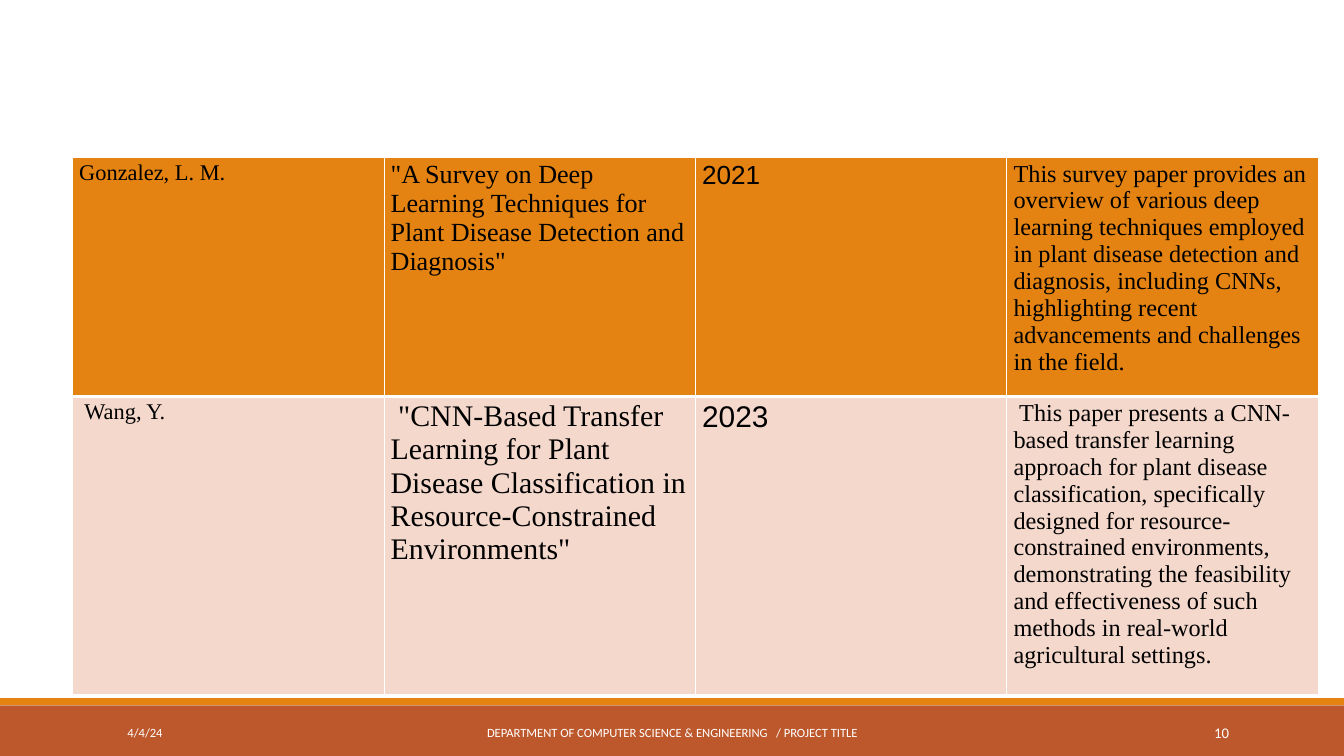
from lxml import etree
from pptx import Presentation
from pptx.dml.color import RGBColor
from pptx.enum.shapes import MSO_SHAPE
from pptx.enum.text import MSO_ANCHOR, PP_ALIGN
from pptx.oxml.ns import qn
from pptx.util import Cm, Pt

RECT = MSO_SHAPE.RECTANGLE
MIDDLE = MSO_ANCHOR.MIDDLE
LEFT, CENTER, RIGHT = PP_ALIGN.LEFT, PP_ALIGN.CENTER, PP_ALIGN.RIGHT

WHITE, BLACK = "FFFFFF", "000000"
ORANGE, RUST, BLUSH = "E48312", "BD582C", "F4D8CC"
SERIF, SANS, FOOTER = "Times New Roman", "Arial", "Calibri"
COLUMN_FONTS = (SERIF, SERIF, SANS, SERIF)
THIN, THICK = 0.96, 3

PAPERS = [
    {
        "fill": ORANGE, "height": 9.04, "sizes": (24, 28, 28, 26),
        "borders": {"lnL": THIN, "lnR": THIN, "lnT": THIN, "lnB": THICK},
        "texts": (
            "Gonzalez, L. M.",
            '"A Survey on Deep Learning Techniques for Plant Disease Detection and Diagnosis"',
            "2021",
            "This survey paper provides an overview of various deep learning techniques "
            "employed in plant disease detection and diagnosis, including CNNs, "
            "highlighting recent advancements and challenges in the field.",
        ),
    },
    {
        "fill": BLUSH, "height": 11.23, "sizes": (24, 32, 32, 26),
        "borders": {"lnL": THIN, "lnR": THIN, "lnT": THICK, "lnB": THIN},
        "texts": (
            " Wang, Y.",
            ' "CNN-Based Transfer Learning for Plant Disease Classification in '
            'Resource-Constrained Environments"',
            "2023",
            " This paper presents a CNN-based transfer learning approach for plant disease "
            "classification, specifically designed for resource-constrained environments, "
            "demonstrating the feasibility and effectiveness of such methods in real-world "
            "agricultural settings.",
        ),
    },
]


def rgb(color):
    """Turn a hex string into a colour."""
    return RGBColor.from_string(color)


def set_font(p, name, size, color):
    """Set the font of a paragraph."""
    p.font.name = name
    p.font.size = Pt(size)
    p.font.color.rgb = rgb(color)


def add_band(s, top, height, color):
    """Add a full-width coloured band."""
    sp = s.shapes.add_shape(RECT, Cm(0), Cm(top), Cm(50.8), Cm(height))
    sp.shadow.inherit = False
    sp.fill.solid()
    sp.fill.fore_color.rgb = rgb(color)
    sp.line.fill.background()


def add_footer_text(s, left, width, text, size, align):
    """Add one text of the footer line."""
    tf = s.shapes.add_textbox(Cm(left), Cm(26.92), Cm(width), Cm(1.52)).text_frame
    tf.word_wrap = True
    tf.vertical_anchor = MIDDLE
    p = tf.paragraphs[0]
    p.text = text
    p.alignment = align
    set_font(p, FOOTER, size, WHITE)


def set_borders(cell, borders):
    """Draw white borders of the given widths around a cell."""
    tc_pr = cell._tc.get_or_add_tcPr()
    for i, (tag, width) in enumerate(borders.items()):
        ln = etree.Element(qn(f"a:{tag}"), w=str(Pt(width)))
        fill = etree.SubElement(ln, qn("a:solidFill"))
        etree.SubElement(fill, qn("a:srgbClr"), val=WHITE)
        tc_pr.insert(i, ln)


def add_paper_table(s):
    """Add the table of surveyed papers."""
    height = sum(paper["height"] for paper in PAPERS)
    table = s.shapes.add_table(
        len(PAPERS), len(COLUMN_FONTS), Cm(2.74), Cm(5.94), Cm(47.09), Cm(height)
    ).table
    for row, paper in zip(table.rows, PAPERS):
        row.height = Cm(paper["height"])
        columns = zip(row.cells, paper["texts"], COLUMN_FONTS, paper["sizes"])
        for i, (cell, text, font, size) in enumerate(columns):
            cell.fill.solid()
            cell.fill.fore_color.rgb = rgb(paper["fill"])
            set_borders(cell, paper["borders"])
            p = cell.text_frame.paragraphs[0]
            p.text = text
            set_font(p, font, size, BLACK)
            p.font.bold = False


def main():
    """Build the literature survey slide."""
    prs = Presentation()
    prs.slide_width, prs.slide_height = Cm(50.8), Cm(28.58)
    s = prs.slides.add_slide(prs.slide_layouts[6])
    add_band(s, 26.67, 1.91, RUST)
    add_band(s, 26.39, 0.26, ORANGE)
    add_footer_text(s, 4.57, 10.31, "4/4/24", 13.5, LEFT)
    add_footer_text(
        s, 15.37, 20.09,
        "DEPARTMENT OF COMPUTER SCIENCE & ENGINEERING   / PROJECT TITLE", 13.5, CENTER,
    )
    add_footer_text(s, 41.25, 5.46, "10", 15.8, RIGHT)
    add_paper_table(s)
    prs.save("out.pptx")


if __name__ == "__main__":
    main()
